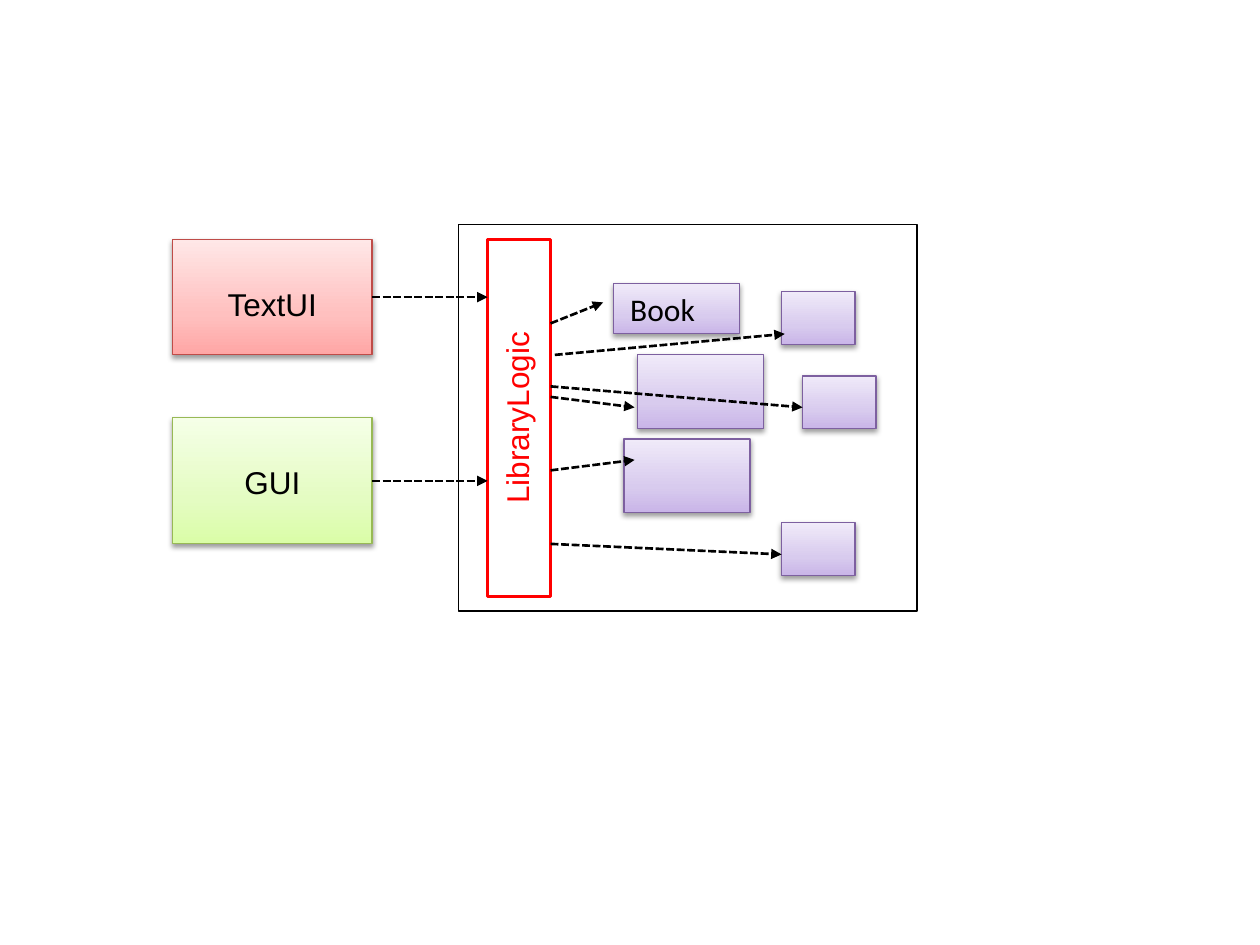
from dataclasses import dataclass
from typing import Optional

from lxml.etree import SubElement
from pptx import Presentation
from pptx.dml.color import RGBColor
from pptx.enum.dml import MSO_LINE
from pptx.enum.shapes import MSO_CONNECTOR, MSO_SHAPE
from pptx.enum.text import MSO_ANCHOR, PP_ALIGN
from pptx.oxml.ns import qn
from pptx.util import Inches, Pt

HEX = {"black": "000000", "red": "FF0000", "white": "FFFFFF",
       "pink": "BF4C48", "green": "98B955", "violet": "7D60A0"}
# Gradient stops, from bottom to top
FADE = {"pink": ("FFA6A5", "FFC0BF", "FFE7E7"),
        "green": ("DAFDA7", "E4FCC2", "F5FFE7"),
        "violet": ("C9B5E8", "D8CBEE", "F0EAF9")}
STOPS = (0, 35, 100)

# Twelve grid cells to the inch, counted from the left edge of the UI
# boxes and from the tip of the first arrow
CELL = 1 / 12
LEFT, TOP = 1.37, 2.4


@dataclass
class Box:
    col: float
    row: float
    wide: float
    high: float
    line: str
    fill: Optional[str] = None
    width: float = 0.75
    text: str = ""
    ink: str = "black"
    inset: float = 0.36
    turn: int = 0


@dataclass
class Arrow:
    col: float
    row: float
    to_col: float
    to_row: float


UI_WIDE = 19
BAR, EDGE = 30, 36

FRAMES = [
    Box(0, 11, UI_WIDE, 12, "green", "green", text="GUI"),
    Box(27.2, -7.4, 43.7, 36.8, "black"),
    Box(0, -6, UI_WIDE, 11, "pink", "pink", text="TextUI"),
    Box(16, 8, 34, 6, "red", "white", 2, "LibraryLogic", "red", 0.08, 270),
]
ITEMS = [Box(42, -1.8, 12, 4.8, "violet", "violet")]
ITEMS += [Box(col, row, 12, 7, "violet", "violet")
          for col, row in ((44.3, 5), (43, 13))]
ITEMS += [Box(col, row, 7, 5, "violet", "violet")
          for col, row in ((58, -1), (60, 7), (58, 21))]

CALLS = [Arrow(EDGE, 2, 41, 0), Arrow(EDGE, 9, 44, 10),
         Arrow(EDGE, 23, 58, 24), Arrow(EDGE, 16, 44, 15),
         Arrow(EDGE, 8, 60, 10), Arrow(36.4, 5, 58.3, 3)]
LINKS = [Arrow(UI_WIDE, row, BAR, row) for row in (-0.5, 17)]


def rgb(name: str) -> RGBColor:
    return RGBColor.from_string(HEX[name])


def x(col: float) -> int:
    return Inches(LEFT + col * CELL)


def y(row: float) -> int:
    return Inches(TOP + row * CELL)


def span(cells: float) -> int:
    return Inches(cells * CELL)


def write(frame, text: str, font: str, ink: str):
    """Add one run to the first paragraph and return that paragraph."""
    para = frame.paragraphs[0]
    run = para.add_run()
    run.text = text
    run.font.name = font
    run.font.size = Pt(18)
    run.font.color.rgb = rgb(ink)
    return para


def fade(shape, name: str) -> None:
    """Give the shape a three-stop gradient and a soft shadow below."""
    shape.fill.gradient()
    shape.fill.gradient_angle = 90
    props = shape._element.spPr
    stops = props.find(".//" + qn("a:gsLst"))
    for old in list(stops):
        stops.remove(old)
    for pos, tint in zip(STOPS, FADE[name]):
        stop = SubElement(stops, qn("a:gs"), pos=str(pos * 1000))
        SubElement(stop, qn("a:srgbClr"), val=tint)
    shade = SubElement(props.find(qn("a:effectLst")), qn("a:outerShdw"),
                       blurRad=str(Pt(3.1)), dist=str(Pt(1.6)),
                       dir="5400000", rotWithShape="0")
    tone = SubElement(shade, qn("a:srgbClr"), val=HEX["black"])
    SubElement(tone, qn("a:alpha"), val="38000")


def draw_box(slide, box: Box) -> None:
    shape = slide.shapes.add_shape(
        MSO_SHAPE.RECTANGLE, x(box.col), y(box.row),
        span(box.wide), span(box.high))
    shape.rotation = box.turn
    shape.shadow.inherit = False
    shape.line.color.rgb = rgb(box.line)
    shape.line.width = Pt(box.width)
    if box.fill in FADE:
        fade(shape, box.fill)
    elif box.fill:
        shape.fill.solid()
        shape.fill.fore_color.rgb = rgb(box.fill)
    else:
        shape.fill.background()
    if box.text:
        frame = shape.text_frame
        frame.vertical_anchor = MSO_ANCHOR.TOP
        frame.margin_top = Inches(box.inset)
        para = write(frame, box.text, "Arial", box.ink)
        para.alignment = PP_ALIGN.CENTER


def draw_arrow(slide, arrow: Arrow) -> None:
    link = slide.shapes.add_connector(
        MSO_CONNECTOR.STRAIGHT, x(arrow.col), y(arrow.row),
        x(arrow.to_col), y(arrow.to_row))
    link.line.color.rgb = rgb("black")
    link.line.width = Pt(1.5)
    link.line.dash_style = MSO_LINE.SQUARE_DOT
    props = link._element.spPr
    SubElement(props.find(qn("a:ln")), qn("a:tailEnd"), type="triangle")
    SubElement(props, qn("a:effectLst"))


def draw_label(slide) -> None:
    label = slide.shapes.add_textbox(x(42.4), y(-1.8), span(16), span(4.7))
    label.text_frame.word_wrap = True
    write(label.text_frame, "Book", "Calibri", "black")


def main() -> None:
    deck = Presentation()
    deck.slide_width, deck.slide_height = Inches(10), Inches(7.5)
    slide = deck.slides.add_slide(deck.slide_layouts[6])
    for box in FRAMES + ITEMS:
        draw_box(slide, box)
    for arrow in CALLS:
        draw_arrow(slide, arrow)
    draw_label(slide)
    for arrow in LINKS:
        draw_arrow(slide, arrow)
    deck.save("out.pptx")


if __name__ == "__main__":
    main()
